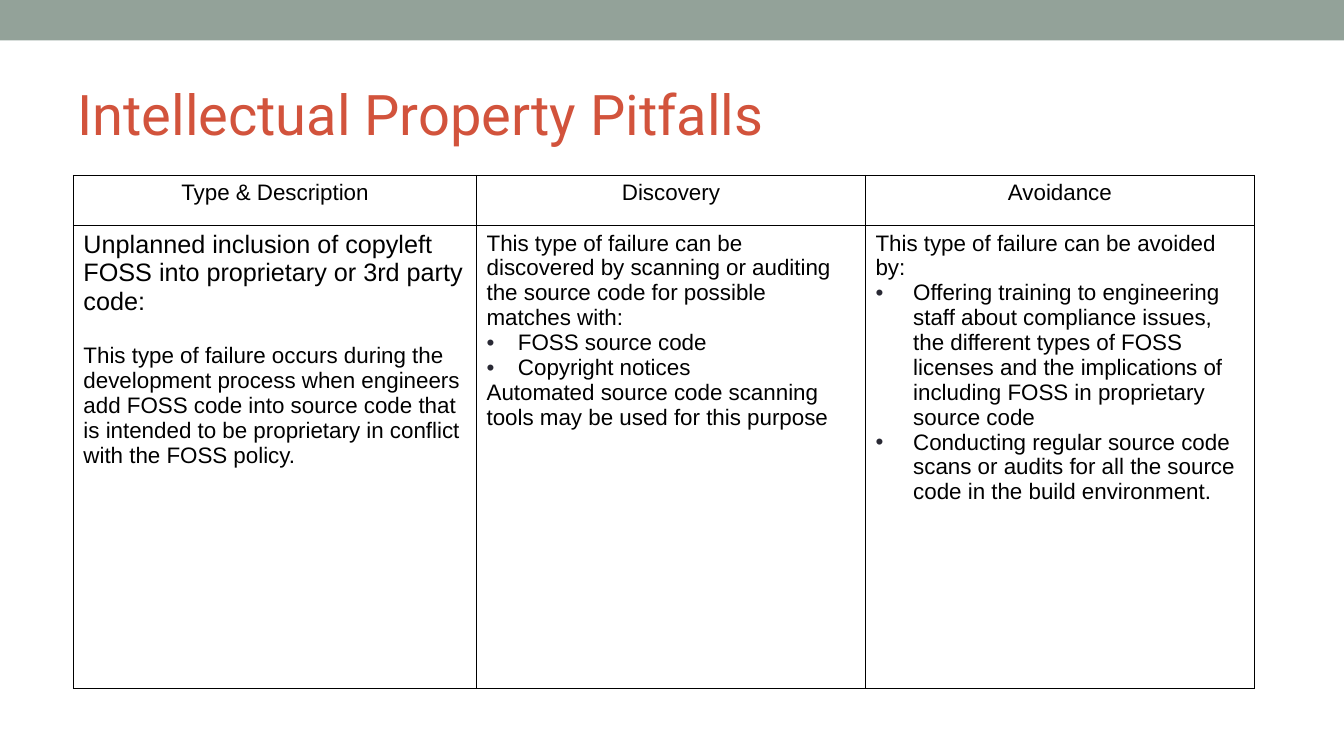
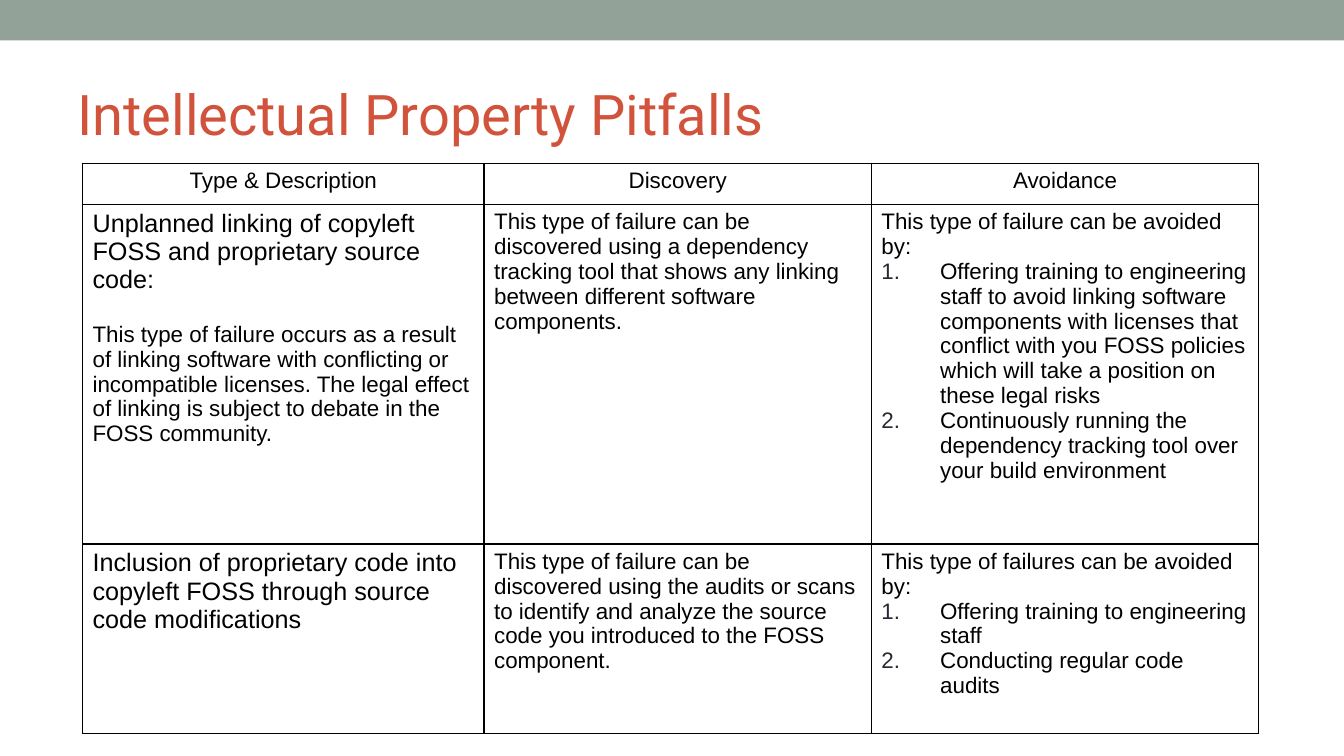
"""Build two slides on intellectual property pitfalls, each with one table."""
from lxml.etree import SubElement
from pptx import Presentation
from pptx.dml.color import RGBColor
from pptx.enum.shapes import MSO_SHAPE
from pptx.enum.text import MSO_ANCHOR, MSO_AUTO_SIZE, PP_ALIGN
from pptx.oxml.ns import qn
from pptx.util import Cm, Pt

COLORS = {"band": "93A299", "title": "D2533C", "text": "000000", "bullet": "292934"}
TITLE = "Intellectual Property Pitfalls"
HEADERS = ["Type & Description", "Discovery", "Avoidance"]
LIST_INDENTS = {"dot": Cm(0.79), "wide dot": Cm(0.95), "number": Cm(1.48)}

TABLES = [
    {
        "left": 1.85, "top": 4.42, "columns": [10.16, 9.8, 9.8], "rows": [1.27, 11.66],
        "body": [
            [
                [
                    ("lead", "Unplanned inclusion of copyleft FOSS into proprietary or 3rd party code:"),
                    ("detail", "This type of failure occurs during the development process when engineers "
                     "add FOSS code into source code that is intended to be proprietary in conflict "
                     "with the FOSS policy."),
                ],
                [
                    ("plain", "This type of failure can be discovered by scanning or auditing the source "
                     "code for possible matches with:"),
                    ("dot", "FOSS source code"),
                    ("dot", "Copyright notices"),
                    ("plain", "Automated source code scanning tools may be used for this purpose"),
                ],
                [
                    ("plain", "This type of failure can be avoided by:"),
                    ("wide dot", "Offering training to engineering staff about compliance issues, the "
                     "different types of FOSS licenses and the implications of including FOSS in "
                     "proprietary source code"),
                    ("wide dot", "Conducting regular source code scans or audits for all the source code "
                     "in the build environment."),
                ],
            ],
        ],
    },
    {
        "left": 2.08, "top": 4.11, "columns": [10.12, 9.76, 9.76], "rows": [1.04, 8.56, 4.78],
        "body": [
            [
                [
                    ("lead", "Unplanned linking of copyleft FOSS and proprietary source code:"),
                    ("detail", "This type of failure occurs as a result of linking software with "
                     "conflicting or incompatible licenses. The legal effect of linking is subject to "
                     "debate in the FOSS community."),
                ],
                [
                    ("plain", "This type of failure can be discovered using a dependency tracking tool "
                     "that shows any linking between different software components."),
                ],
                [
                    ("plain", "This type of failure can be avoided by:"),
                    ("number", "Offering training to engineering staff to avoid linking software "
                     "components with licenses that conflict with you FOSS policies which will take a "
                     "position on these legal risks"),
                    ("number", "Continuously running the dependency tracking tool over your build "
                     "environment"),
                ],
            ],
            [
                [
                    ("lead", "Inclusion of proprietary code into copyleft FOSS through source code "
                     "modifications"),
                ],
                [
                    ("plain", "This type of failure can be discovered using the audits or scans to "
                     "identify and analyze the source code you introduced to the FOSS component."),
                ],
                [
                    ("plain", "This type of failures can be avoided by:"),
                    ("number", "Offering training to engineering staff"),
                    ("number", "Conducting regular code audits"),
                ],
            ],
        ],
    },
]


def add_color(parent, color):
    """Append a hex colour element to a fill or bullet colour."""
    SubElement(parent, qn("a:srgbClr"), val=COLORS[color])


def fill_cell(cell, paragraphs):
    """Draw the borders of a cell and write its paragraphs."""
    properties = cell._tc.get_or_add_tcPr()
    for side in ("a:lnL", "a:lnR", "a:lnT", "a:lnB"):
        border = SubElement(properties, qn(side), w=str(Pt(1)))
        add_color(SubElement(border, qn("a:solidFill")), "text")
    cell.fill.background()
    frame = cell.text_frame
    for index, (kind, text) in enumerate(paragraphs):
        para = frame.add_paragraph() if index else frame.paragraphs[0]
        if kind == "header":
            para.alignment = PP_ALIGN.CENTER
        elif kind == "detail":
            para.space_before = Pt(20)
        elif kind in LIST_INDENTS:
            indent = LIST_INDENTS[kind]
            settings = para._p.get_or_add_pPr()
            settings.set("marL", str(indent))
            settings.set("indent", str(-indent))
            add_color(SubElement(settings, qn("a:buClr")), "bullet")
            SubElement(settings, qn("a:buFont"), typeface="Arial")
            if kind == "number":
                SubElement(settings, qn("a:buAutoNum"), type="arabicPeriod")
            else:
                SubElement(settings, qn("a:buChar"), char="•")
        span = para.add_run()
        span.text = text
        span.font.name = "Arial"
        span.font.size = Pt(18 if kind == "lead" else 16)
        span.font.bold = False
        span.font.color.rgb = RGBColor.from_string(COLORS["text"])


deck = Presentation()
deck.slide_width, deck.slide_height = Cm(33.87), Cm(19.05)
master = deck.slide_master
layout = deck.slide_layouts.get_by_name("Title Only")

master_title = master.placeholders[0]
master_title.left, master_title.top = Cm(1.7), Cm(1.47)
master_title.width, master_title.height = Cm(30.48), Cm(2.74)
master_title.text_frame.auto_size = MSO_AUTO_SIZE.NONE
master_title.text_frame.vertical_anchor = MSO_ANCHOR.MIDDLE

title_level = master.element.find(f".//{qn('p:titleStyle')}/{qn('a:lvl1pPr')}")
title_level.set("algn", "l")
title_font = title_level.find(qn("a:defRPr"))
for child in list(title_font):
    title_font.remove(child)
title_font.set("sz", "4000")
add_color(SubElement(title_font, qn("a:solidFill")), "title")
SubElement(title_font, qn("a:latin"), typeface="Roboto")

pages = [deck.slides.add_slide(layout) for _ in TABLES]

band = pages[0].shapes.add_shape(MSO_SHAPE.RECTANGLE, 0, 0, deck.slide_width, Cm(1.02))
band.shadow.inherit = False
band.fill.solid()
band.fill.fore_color.rgb = RGBColor.from_string(COLORS["band"])
band.line.fill.background()
master.shapes.element.insert(2, band.element)

for page, content in zip(pages, TABLES):
    page.shapes.title.text_frame.paragraphs[0].add_run().text = TITLE
    columns, rows = content["columns"], content["rows"]
    table = page.shapes.add_table(
        len(rows), len(columns), Cm(content["left"]), Cm(content["top"]),
        Cm(sum(columns)), Cm(sum(rows)),
    ).table
    table.first_row = False
    table.horz_banding = False
    for column, width in zip(table.columns, columns):
        column.width = Cm(width)
    for row, height in zip(table.rows, rows):
        row.height = Cm(height)
    header_row = [[("header", text)] for text in HEADERS]
    for row, texts in zip(table.rows, [header_row, *content["body"]]):
        for cell, paragraphs in zip(row.cells, texts):
            fill_cell(cell, paragraphs)

deck.save("out.pptx")
